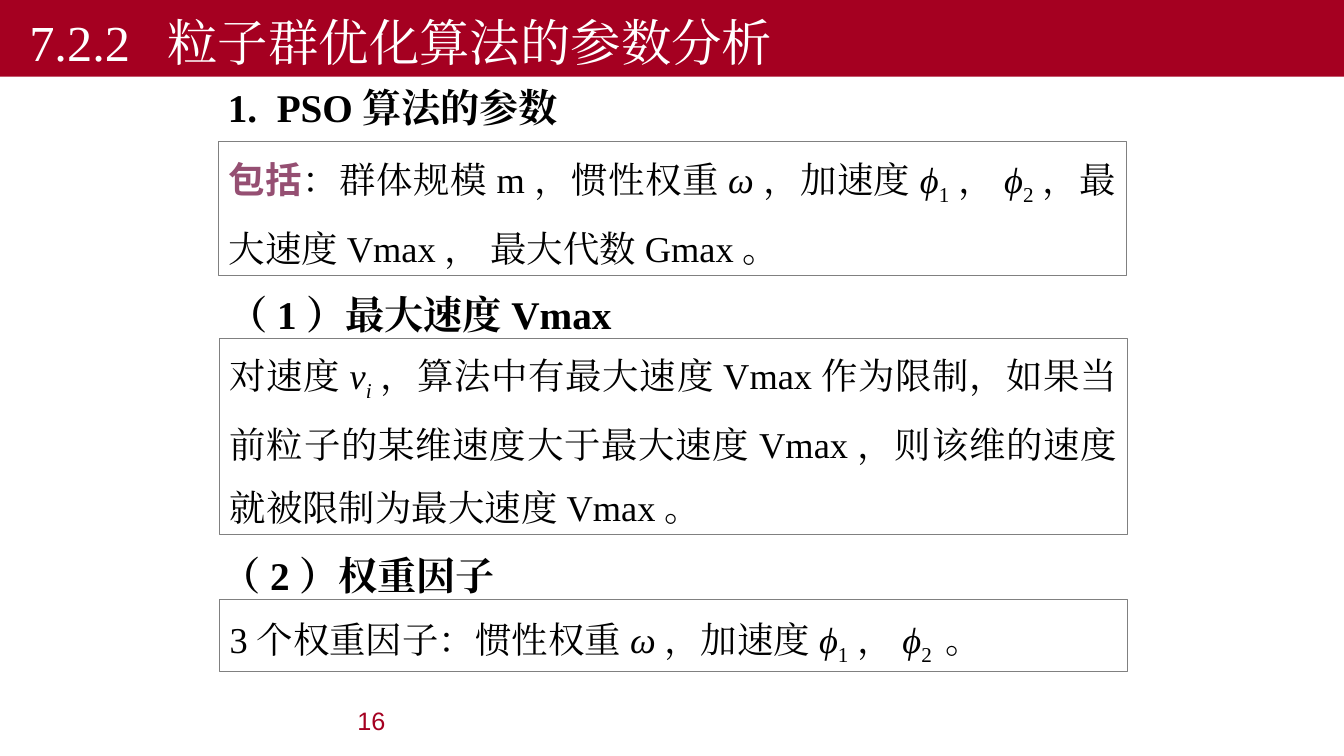
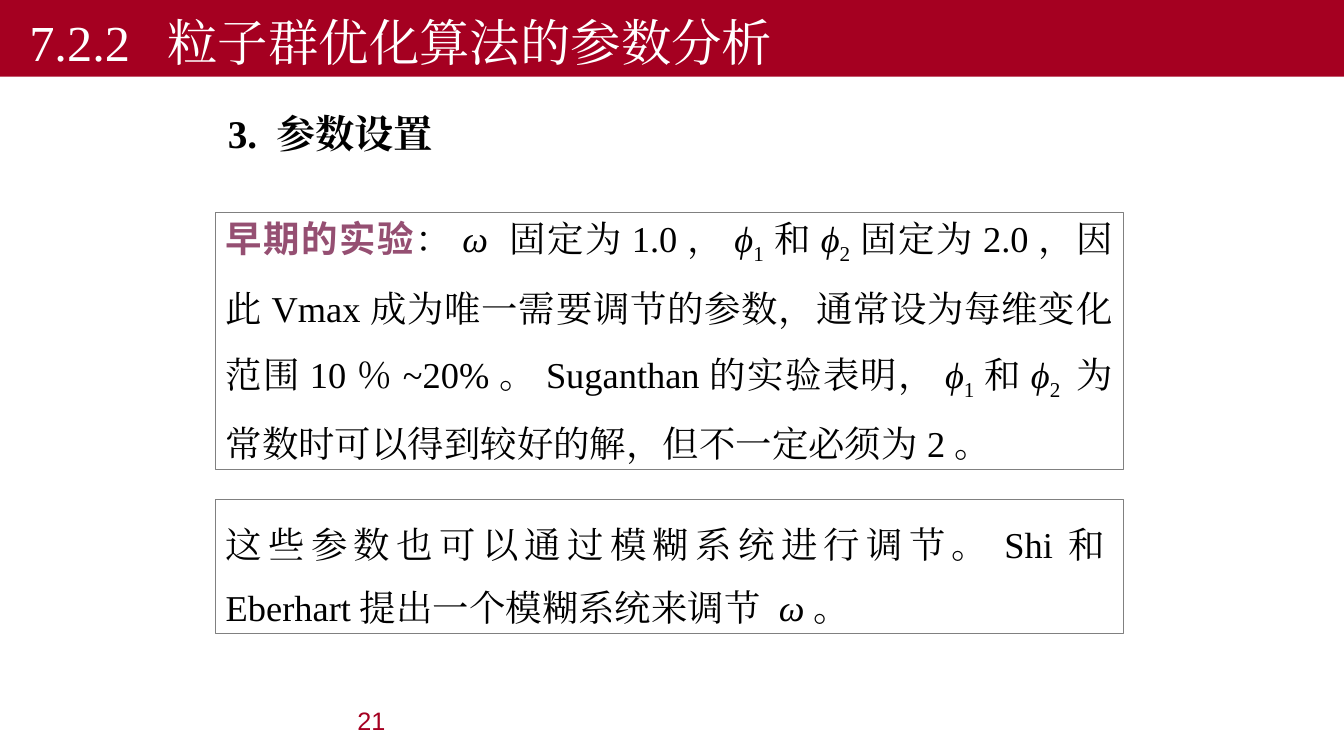
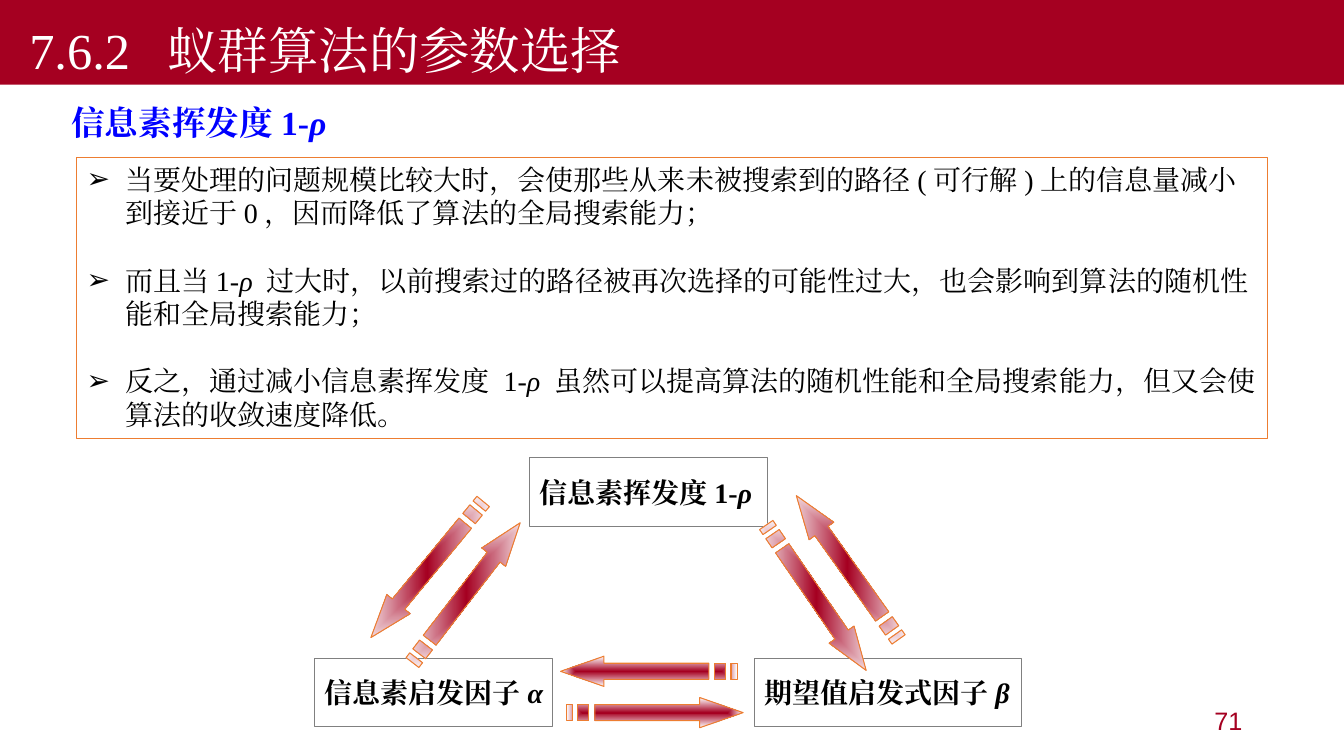
from lxml import etree
from pptx import Presentation
from pptx import util as u
from pptx.dml import color
from pptx.enum import shapes, text
from pptx.oxml import ns, xmlchemy

RED, GREY, ORANGE, PLUM, BLUE = "A50021", "808080", "ED7D31", "954F72", "0000FF"
BLACK, WHITE = "000000", "FFFFFF"
SERIF, SANS, CJK = "Times New Roman", "Arial", "Noto Sans CJK SC"
STYLES = {"i": {"italic": True}, "s": {}, "k": {"bold": True, "name": CJK}}


def paint(target, value):
    if hasattr(target, "solid"):
        target.solid()
        target = target.fore_color
    target.rgb = color.RGBColor.from_string(value)


def write(p, runs, size, ink=BLACK, bold=False, name=SERIF):
    for words, style in runs:
        r = p.add_run()
        r.text = words
        fmt = {"size": u.Pt(size), "bold": bold, "name": name}
        for key in style:
            fmt.update(STYLES[key])
        for attr, value in fmt.items():
            setattr(r.font, attr, value)
        paint(r.font.color, PLUM if "k" in style else ink)
        rPr = r.font._element
        if "s" in style:
            rPr.set("baseline", "-25000")
        etree.SubElement(rPr, ns.qn("a:ea")).set("typeface", fmt["name"])


PHI1 = [("ϕ", "i"), ("1", "s")]
PHI2 = [("ϕ", "i"), ("2", "s")]
PSO = "7.2.2  粒子群优化算法的参数分析"

pages = [
    {
        "title": PSO, "band": 0.76, "number": "16", "number_x": 0.92,
        "body": (2.16, 0.83, 8.92, 2.33), "heading": "  PSO算法的参数", "auto": True,
        "boxes": [
            (2.17, 1.4, 1.33, [("包括", "k"), ("：群体规模m，惯性权重", ""), ("ω", "i"),
                               ("，加速度", "")] + PHI1 + [("，", "")] + PHI2
             + [("，最大速度Vmax， 最大代数Gmax。", "")]),
            (2.18, 3.36, 1.94, [("对速度", ""), ("v", "i"), ("i", "is"),
                                ("，算法中有最大速度Vmax作为限制，如果当前粒子的某维速度大于最大速度Vmax，"
                                 "则该维的速度就被限制为最大速度Vmax。", "")]),
            (2.18, 5.95, 0.71, [("3个权重因子：惯性权重", ""), ("ω", "i"), ("，加速度", "")]
             + PHI1 + [("，", ""), ("ϕ", "i"), ("2 ", "s"), ("。", "")]),
        ],
        "labels": [(2.17, 2.73, "（1）最大速度Vmax"), (2.1, 5.32, "（2）权重因子")],
    },
    {
        "title": PSO, "band": 0.76, "number": "21", "number_x": 0.92,
        "body": (2.16, 1.09, 8.92, 2.07), "heading": "3. 参数设置", "auto": False,
        "boxes": [
            (2.14, 2.11, 2.55, [("早期的实验", "k"), ("：", ""), ("ω ", "i"), ("固定为1.0，", "")]
             + PHI1 + [("和", "")] + PHI2
             + [("固定为2.0，因此Vmax成为唯一需要调节的参数，通常设为每维变化范围10％~20%。"
                 "Suganthan的实验表明，", "")]
             + PHI1 + [("和", ""), ("ϕ", "i"), ("2 ", "s"),
                       ("为常数时可以得到较好的解，但不一定必须为2。", "")]),
            (2.14, 4.96, 1.33, [("这些参数也可以通过模糊系统进行调节。"
                                 "Shi和Eberhart提出一个模糊系统来调节 ", ""), ("ω", "i"), ("。", "")]),
        ],
        "labels": [],
    },
    {
        "title": "7.6.2  蚁群算法的参数选择", "band": 0.84, "number": "71", "number_x": 9.42,
        "body": (0.76, 1.56, 11.81, 2.79), "heading": None, "boxes": [], "labels": [],
    },
]

prs = Presentation()
prs.slide_width, prs.slide_height = u.Inches(13.33), u.Inches(7.5)

for page in pages:
    s = prs.slides.add_slide(prs.slide_layouts[1])
    title, body = s.placeholders
    for sp, place in ((title, (0, 0, 13.33, page["band"])), (body, page["body"])):
        sp.left, sp.top, sp.width, sp.height = map(u.Inches, place)
        sp.text_frame.auto_size = text.MSO_AUTO_SIZE.NONE
    paint(title.fill, RED)
    title.text_frame.vertical_anchor = text.MSO_ANCHOR.BOTTOM
    p = title.text_frame.paragraphs[0]
    p.alignment = text.PP_ALIGN.LEFT
    p._p.get_or_add_pPr().set("indent", str(u.Inches(0.19)))
    write(p, [(page["title"], "")], 36, WHITE)

    if page["heading"]:
        p = body.text_frame.paragraphs[0]
        p.line_spacing, p.space_before = 0.9, u.Pt(10)
        pPr = p._p.get_or_add_pPr()
        pPr.set("marL", "0")
        pPr.set("indent", "0")
        if page["auto"]:
            etree.SubElement(pPr, ns.qn("a:buFont")).set("typeface", SERIF)
            etree.SubElement(pPr, ns.qn("a:buAutoNum")).set("type", "arabicPeriod")
        else:
            etree.SubElement(pPr, ns.qn("a:buNone"))
        write(p, [(page["heading"], "")], 28, bold=True)

    for x, y, h, runs in page["boxes"]:
        sp = s.shapes.add_shape(shapes.MSO_SHAPE.RECTANGLE, *map(u.Inches, (x, y, 9, h)))
        sp.shadow.inherit = False
        paint(sp.fill, WHITE)
        paint(sp.line.fill, GREY)
        sp.line.width = u.Pt(0.75)
        tf = sp.text_frame
        tf.word_wrap, tf.vertical_anchor = True, text.MSO_ANCHOR.BOTTOM
        p = tf.paragraphs[0]
        p.alignment, p.line_spacing = text.PP_ALIGN.JUSTIFY, 1.45
        write(p, runs, 26)

    for x, y, words in page["labels"]:
        tf = s.shapes.add_textbox(*map(u.Inches, (x, y, 4.5, 0.67))).text_frame
        tf.word_wrap, tf.vertical_anchor = True, text.MSO_ANCHOR.BOTTOM
        p = tf.paragraphs[0]
        p.alignment, p.line_spacing = text.PP_ALIGN.JUSTIFY, 1.2
        write(p, [(words, "")], 28, bold=True)

    tf = s.shapes.add_textbox(*map(u.Inches, (page["number_x"], 6.95, 3, 0.4))).text_frame
    tf.word_wrap, tf.vertical_anchor = True, text.MSO_ANCHOR.MIDDLE
    p = tf.paragraphs[0]
    p.alignment = text.PP_ALIGN.RIGHT
    write(p, [(page["number"], "")], 18, RED, name=SANS)

tf = s.shapes.add_textbox(*map(u.Inches, (0.61, 0.96, 9.33, 0.51))).text_frame
tf.word_wrap = True
write(tf.paragraphs[0], [("信息素挥发度1-", ""), ("ρ", "i")], 24, BLUE, bold=True)

paint(body.fill, WHITE)
paint(body.line.fill, ORANGE)
body.line.width = u.Pt(0.75)
points = [
    [("当要处理的问题规模比较大时，会使那些从来未被搜索到的路径(可行解)上的信息量减小到接近于0，"
      "因而降低了算法的全局搜索能力；", "")],
    [("而且当1-", ""), ("ρ ", "i"),
     ("过大时，以前搜索过的路径被再次选择的可能性过大，也会影响到算法的随机性能和全局搜索能力；", "")],
    [("反之，通过减小信息素挥发度 1-", ""), ("ρ ", "i"),
     ("虽然可以提高算法的随机性能和全局搜索能力，但又会使算法的收敛速度降低。", "")],
]
tf = body.text_frame
for n, runs in enumerate(points):
    p = tf.add_paragraph() if n else tf.paragraphs[0]
    p.line_spacing, p.space_before = u.Pt(24), u.Pt(24 if n else 0)
    pPr = p._p.get_or_add_pPr()
    pPr.set("marL", str(u.Inches(0.38)))
    pPr.set("indent", str(u.Inches(-0.38)))
    etree.SubElement(pPr, ns.qn("a:buFont")).set("typeface", SANS)
    etree.SubElement(pPr, ns.qn("a:buChar")).set("char", "➢")
    write(p, runs, 20)

factors = [
    (3.12, 6.53, 2.36, "信息素启发因子", "α"),
    (7.48, 6.53, 2.65, "期望值启发式因子", "β"),
    (5.25, 4.54, 2.36, "信息素挥发度1-", "ρ"),
]
for x, y, w, words, symbol in factors:
    sp = s.shapes.add_shape(shapes.MSO_SHAPE.RECTANGLE, *map(u.Inches, (x, y, w, 0.68)))
    sp.shadow.inherit = False
    paint(sp.fill, WHITE)
    paint(sp.line.fill, GREY)
    sp.line.width = u.Pt(0.75)
    tf = sp.text_frame
    tf.word_wrap, tf.vertical_anchor = False, text.MSO_ANCHOR.MIDDLE
    p = tf.paragraphs[0]
    p.alignment = text.PP_ALIGN.LEFT
    write(p, [(words, ""), (symbol, "i")], 20, bold=True)

GRADIENT = (
    f'<a:gradFill {ns.nsdecls("a")} rotWithShape="1"><a:gsLst>'
    f'<a:gs pos="0"><a:srgbClr val="{RED}"/></a:gs>'
    f'<a:gs pos="100000"><a:srgbClr val="{WHITE}"/></a:gs></a:gsLst>'
    '<a:path path="rect"><a:fillToRect l="50000" t="50000" r="50000" b="50000"/></a:path>'
    '</a:gradFill>'
)
outlines = [
    [(132, 0), (132, 7), (28, 7), (28, 23), (132, 23), (132, 30), (175, 15)],
    [(11, 7), (11, 23), (22, 23), (22, 7)],
    [(0, 7), (0, 23), (6, 23), (6, 7)],
]
arrows = [
    (5.62, 6.92, 0), (5.56, 6.51, 180), (3.75, 5.73, 307.6),
    (3.36, 5.5, 129.5), (7.53, 5.48, 234.6), (7.22, 5.78, 55.5),
]
for x, y, angle in arrows:
    fb = s.shapes.build_freeform(*outlines[0][0], scale=u.Inches(0.01))
    for n, outline in enumerate(outlines):
        if n:
            fb.move_to(*outline[0])
        fb.add_line_segments(outline[1:], close=True)
    sp = fb.convert_to_shape(u.Inches(x), u.Inches(y))
    sp.rotation = angle
    sp.shadow.inherit = False
    paint(sp.line.fill, ORANGE)
    sp.line.width = u.Pt(0.75)
    geometry = sp._element.spPr.find(ns.qn("a:custGeom"))
    geometry.addnext(etree.fromstring(GRADIENT))

prs.save("out.pptx")
